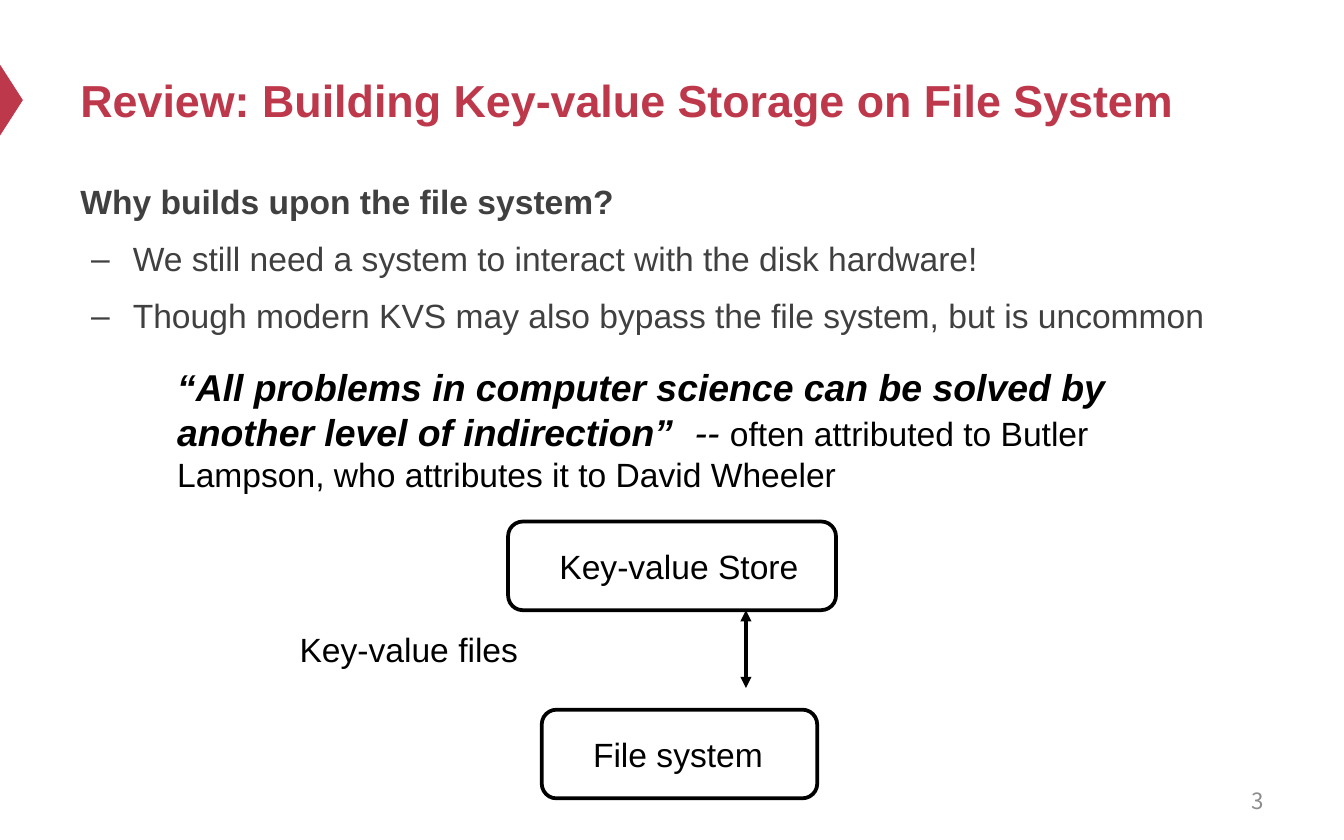
from dataclasses import dataclass

from lxml.etree import SubElement
from pptx import Presentation
from pptx.dml.color import RGBColor
from pptx.enum.shapes import MSO_CONNECTOR as Connector
from pptx.enum.shapes import MSO_SHAPE as Shape
from pptx.enum.text import MSO_ANCHOR as Anchor
from pptx.enum.text import PP_ALIGN as Align
from pptx.oxml.ns import qn
from pptx.util import Pt


@dataclass(frozen=True)
class Theme:
    accent: RGBColor = RGBColor(0xBE, 0x38, 0x4B)
    body: RGBColor = RGBColor(0x40, 0x40, 0x40)
    ink: RGBColor = RGBColor(0, 0, 0)
    muted: RGBColor = RGBColor(0x8C, 0x8C, 0x8C)
    face: str = "Arial"
    number_face: str = "Noto Sans CJK SC"
    title_size: float = 24
    quote_size: float = 20
    text_size: float = 18
    number_size: float = 12
    stroke: float = 2


@dataclass(frozen=True)
class Area:
    left: float
    top: float
    width: float
    height: float

    def lengths(self) -> tuple:
        return Pt(self.left), Pt(self.top), Pt(self.width), Pt(self.height)


@dataclass(frozen=True)
class Layer:
    label: str
    area: Area


THEME = Theme()
LABEL_INSET = 25.2
LAYERS = [
    Layer("Key-value Store", Area(272.2, 279.4, 175.7, 47.5)),
    Layer("File system", Area(290.2, 380.2, 147.6, 47.5)),
]
REASONS = [
    "We still need a system to interact with the disk hardware!",
    "Though modern KVS may also bypass the file system, but is uncommon",
]


def style(font, size: float, color: RGBColor, bold: bool = False,
          italic: bool = False, face: str = THEME.face) -> None:
    font.name, font.size = face, Pt(size)
    font.bold, font.italic = bold, italic
    font.color.rgb = color


def add_frame(slide, area: Area, anchor=Anchor.TOP):
    frame = slide.shapes.add_textbox(*area.lengths()).text_frame
    frame.word_wrap = True
    frame.vertical_anchor = anchor
    return frame


def add_line(slide, area: Area, text: str, size: float, color: RGBColor,
             anchor=Anchor.TOP, align=Align.LEFT, bold: bool = False,
             face: str = THEME.face) -> None:
    """Add a text box holding one paragraph in one style."""
    paragraph = add_frame(slide, area, anchor).paragraphs[0]
    paragraph.text, paragraph.alignment = text, align
    style(paragraph.font, size, color, bold, face=face)


def add_dash(paragraph) -> None:
    properties = paragraph._p.get_or_add_pPr()
    properties.set("marL", str(Pt(28.1)))
    properties.set("indent", str(-Pt(22.3)))
    SubElement(properties, qn("a:buFont"), typeface=THEME.face)
    SubElement(properties, qn("a:buChar"), char="–")


def add_marker(slide) -> None:
    marker = slide.shapes.add_shape(
        Shape.ISOSCELES_TRIANGLE, *Area(-13, 47.5, 38.2, 12.3).lengths())
    marker.rotation = 90
    marker.shadow.inherit = False
    marker.fill.solid()
    marker.fill.fore_color.rgb = THEME.accent
    marker.line.fill.background()


def add_reasons(slide) -> None:
    frame = add_frame(slide, Area(36, 89.3, 648, 130.3))
    question = frame.paragraphs[0]
    question.text = "Why builds upon the file system?"
    question.line_spacing = 1.2
    style(question.font, THEME.text_size, THEME.body, bold=True)
    for reason in REASONS:
        paragraph = frame.add_paragraph()
        paragraph.text, paragraph.level = reason, 1
        paragraph.line_spacing, paragraph.space_before = 1.2, Pt(4.6)
        add_dash(paragraph)
        style(paragraph.font, THEME.text_size, THEME.body)


def add_quote(slide) -> None:
    paragraph = add_frame(slide, Area(87.8, 191.5, 534.2, 101.5)).paragraphs[0]
    for text, size, bold, italic in [
        ("“All problems in computer science can be solved by another level "
         "of indirection”  ", THEME.quote_size, True, True),
        ("-- ", THEME.quote_size, False, True),
        ("often attributed to Butler Lampson, who attributes it to "
         "David Wheeler", THEME.text_size, False, False),
    ]:
        run = paragraph.add_run()
        run.text = text
        style(run.font, size, THEME.ink, bold, italic)


def add_layer(slide, layer: Layer) -> None:
    box = slide.shapes.add_shape(Shape.ROUNDED_RECTANGLE, *layer.area.lengths())
    box.shadow.inherit = False
    box.fill.background()
    box.line.color.rgb = THEME.ink
    box.line.width = Pt(THEME.stroke)
    frame = box.text_frame
    frame.margin_left, frame.margin_right = Pt(LABEL_INSET), 0
    frame.vertical_anchor = Anchor.MIDDLE
    label = frame.paragraphs[0]
    label.text, label.alignment = layer.label, Align.LEFT
    style(label.font, THEME.text_size, THEME.ink)


def add_double_arrow(slide, x: float, top: float, bottom: float) -> None:
    arrow = slide.shapes.add_connector(
        Connector.STRAIGHT, Pt(x), Pt(top), Pt(x), Pt(bottom))
    arrow.line.color.rgb = THEME.ink
    arrow.line.width = Pt(THEME.stroke)
    outline = arrow.line._get_or_add_ln()
    for end in ("a:headEnd", "a:tailEnd"):
        SubElement(outline, qn(end), type="triangle")
    SubElement(arrow._element.spPr, qn("a:effectLst"))


def main() -> None:
    deck = Presentation()
    deck.slide_width, deck.slide_height = Pt(720), Pt(450)
    slide = deck.slides.add_slide(deck.slide_layouts[6])

    add_marker(slide)
    add_line(slide, Area(36, 18, 648, 70.6),
             "Review: Building Key-value Storage on File System",
             THEME.title_size, THEME.accent, Anchor.MIDDLE, bold=True)
    add_reasons(slide)
    add_line(slide, Area(516.2, 416.9, 167.8, 23.8), "3", THEME.number_size,
             THEME.muted, Anchor.MIDDLE, Align.RIGHT, face=THEME.number_face)
    for layer in LAYERS:
        add_layer(slide, layer)
    add_line(slide, Area(153.4, 333.4, 140, 28.8), "Key-value files",
             THEME.text_size, THEME.ink)
    store = LAYERS[0].area
    add_double_arrow(slide, 399.6, store.top + store.height, 368.6)
    add_quote(slide)
    deck.save("out.pptx")


if __name__ == "__main__":
    main()
